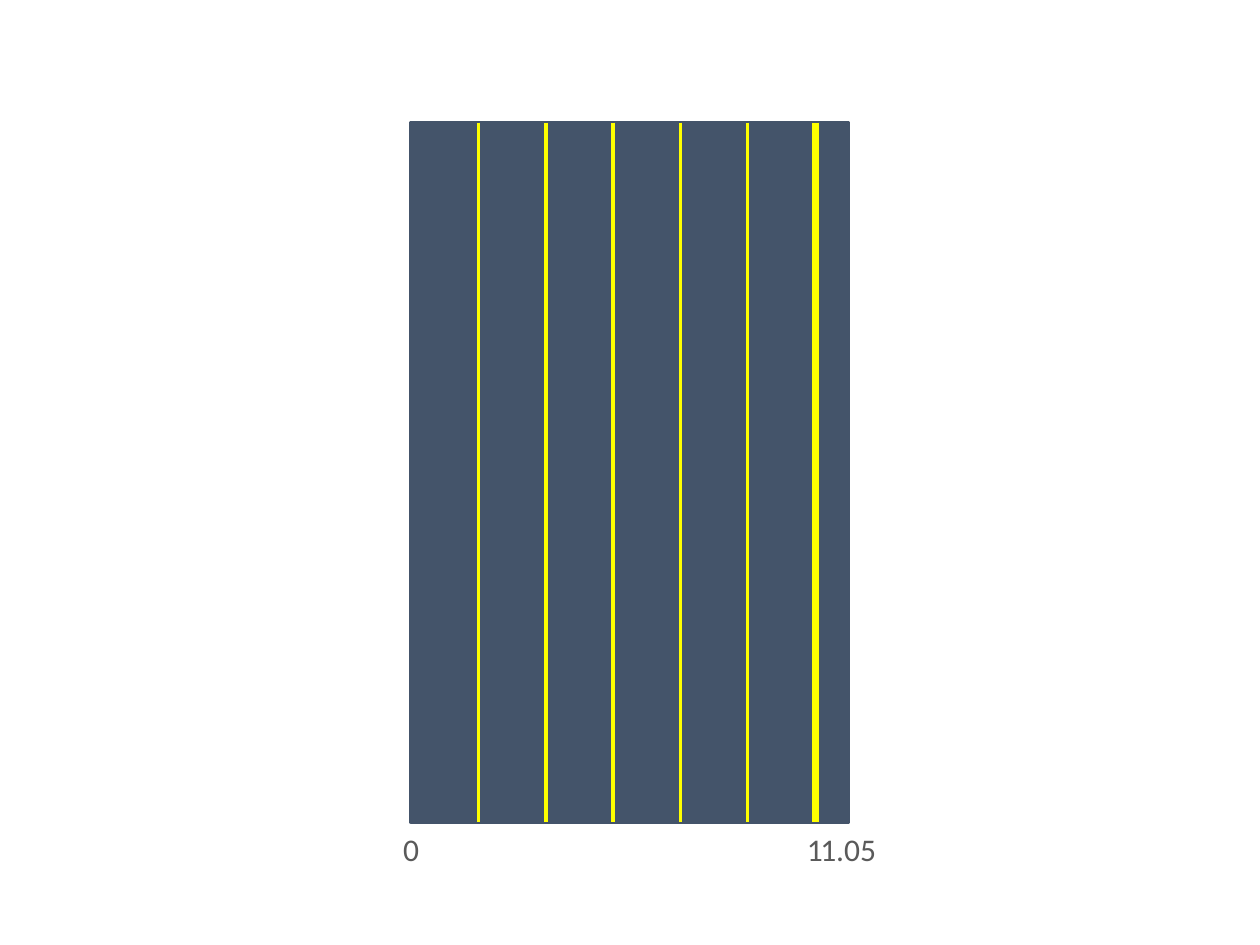
from lxml import etree
from pptx import Presentation, util as u
from pptx.dml.color import RGBColor
from pptx.enum import shapes, text
from pptx.oxml.ns import qn


def color(hex_code):
    return RGBColor.from_string(hex_code)


class Plot:
    """Holds the style and the current slide."""

    font = "Calibri"
    panel = "44546A"
    marker = "FFFF00"
    label_color = "5A5A5A"

    def __init__(self, s):
        self.s = s

    def add_panel(self, x, y, w, h):
        sp = self.s.shapes.add_shape(
            shapes.MSO_SHAPE.RECTANGLE, u.Cm(x), u.Cm(y), u.Cm(w), u.Cm(h))
        sp.shadow.inherit = False
        sp.fill.solid()
        sp.fill.fore_color.rgb = color(self.panel)
        sp.line.color.rgb = color(self.panel)
        sp.line.width = u.Pt(2)

    def add_marker(self, x, top, bottom, width):
        line = self.s.shapes.add_connector(
            shapes.MSO_CONNECTOR.STRAIGHT, u.Cm(x), u.Cm(top), u.Cm(x), u.Cm(bottom))
        line.line.color.rgb = color(self.marker)
        line.line.width = u.Pt(width)
        etree.SubElement(line._element.spPr, qn("a:effectLst"))

    def add_label(self, words, x, y):
        """Centre a one-line label on x."""
        w = 1.2
        sp = self.s.shapes.add_textbox(u.Cm(x - w / 2), u.Cm(y), u.Cm(w), u.Cm(1.07))
        tf = sp.text_frame
        tf.margin_left = tf.margin_right = tf.margin_top = tf.margin_bottom = 0
        tf.word_wrap = False
        tf.vertical_anchor = text.MSO_ANCHOR.MIDDLE
        tf.text = words
        p = tf.paragraphs[0]
        p.alignment = text.PP_ALIGN.CENTER
        r = p.runs[0]
        r.font.name = self.font
        r.font.size = u.Pt(18)
        r.font.color.rgb = color(self.label_color)


def main():
    prs = Presentation()
    prs.slide_width, prs.slide_height = u.Cm(25.4), u.Cm(19.05)
    plot = Plot(prs.slides.add_slide(prs.slide_layouts[6]))

    left, top, width, height = 8.29, 2.47, 8.81, 14.11
    right, bottom = left + width, top + height
    unit = 8.14  # distance from 0 to 1 on the axis
    count = 6

    plot.add_panel(left, top, width, height)
    for words, x in (("0", left), ("1", left + unit), ("1.05", right)):
        plot.add_label(words, x, bottom)
    for i in range(1, count + 1):
        plot.add_marker(left + unit * i / count, top, bottom, 4 if i == count else 2)

    prs.save("out.pptx")


if __name__ == "__main__":
    main()
